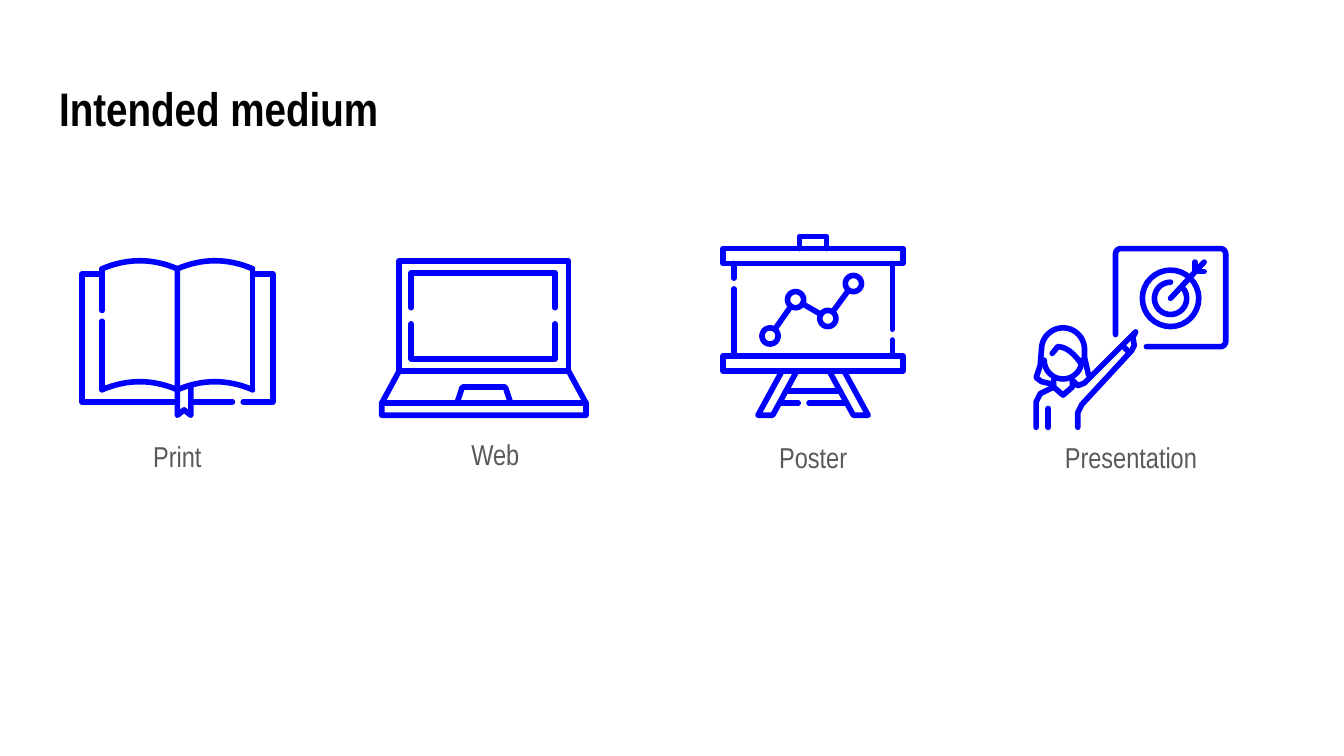
from math import cos, dist, radians, sin

from lxml.etree import SubElement
from pptx import Presentation
from pptx.dml.color import RGBColor
from pptx.enum.text import MSO_ANCHOR, MSO_AUTO_SIZE, PP_ALIGN
from pptx.oxml.ns import qn
from pptx.util import Inches, Pt

THEME = {
    "font": "Arial Narrow",
    "title": {"size": Pt(25.2), "bold": True, "color": RGBColor(0, 0, 0)},
    "label": {"size": Pt(15.4), "bold": False, "color": RGBColor(0x59, 0x59, 0x59)},
    "icon": {"color": RGBColor(0, 0, 0xFF), "width": Pt(3)},
}


# Stroke helpers: each returns a list of points in inches
def box(left, top, right, bottom):
    return [(left, top), (right, top), (right, bottom), (left, bottom), (left, top)]


def arc(center, radius, start=0, end=360, steps=32):
    angles = [radians(start + (end - start) * i / steps) for i in range(steps + 1)]
    return [(center[0] + radius * cos(a), center[1] + radius * sin(a)) for a in angles]


def bow(start, end, rise, steps=16):
    """Shallow curve between two points, raised in the middle."""
    return [(start[0] + (end[0] - start[0]) * t,
             start[1] + (end[1] - start[1]) * t - 4 * rise * t * (1 - t))
            for t in (i / steps for i in range(steps + 1))]


def link(start, end, gap):
    """Line between two nodes that stops at their rims."""
    share = gap / dist(start, end)
    dx, dy = (end[0] - start[0]) * share, (end[1] - start[1]) * share
    return [(start[0] + dx, start[1] + dy), (end[0] - dx, end[1] - dy)]


def mirror(points, axis):
    return [(2 * axis - x, y) for x, y in points]


# Content
TITLE = "Intended medium"
LABELS = [("Print", 3.18), ("Web", 3.17), ("Poster", 3.19), ("Presentation", 3.19)]
LABEL_LEFT, LABEL_STEP, LABEL_SIZE = 0.27, 2.365, (2.1, 0.63)

# Icons: each has parts, each part is a list of strokes
SPINE = 1.32
page_curves = [bow((0.76, y), (SPINE, y), 0.06) for y in (2, 2.9)]
book = [
    *page_curves,
    *[mirror(curve, SPINE) for curve in page_curves],
    [(0.76, 2), (0.76, 2.31)],
    [(0.76, 2.39), (0.76, 2.9)],
    [(1.88, 2), (1.88, 2.9)],
    [(0.76, 2.04), (0.61, 2.04), (0.61, 2.99), (SPINE, 2.99)],
    [(1.88, 2.04), (2.03, 2.04), (2.03, 2.99), (1.81, 2.99)],
    [(1.73, 2.99), (1.42, 2.99)],
    [(SPINE, 2), (SPINE, 3.09), (1.37, 3.05), (1.42, 3.09), (1.42, 2.88)],
]

laptop_body = [
    box(2.97, 1.94, 4.23, 2.76),
    [(2.97, 2.76), (2.84, 3), (2.84, 3.09), (4.36, 3.09), (4.36, 3), (4.23, 2.76)],
    [(2.84, 3), (4.36, 3)],
    [(3.4, 3), (3.44, 2.88), (3.76, 2.88), (3.8, 3)],
]
screen_halves = [
    [[(3.06, inner), (3.06, outer), (4.13, outer), (4.13, inner)]]
    for inner, outer in ((2.41, 2.67), (2.29, 2.03))
]

STAND_AXIS = 6.05
leg = [(5.82, 2.76), (5.64, 3.09), (5.75, 3.09), (5.93, 2.76)]
poster_top = [
    box(5.38, 1.85, 6.72, 1.96),
    [(5.95, 1.85), (5.95, 1.76), (6.15, 1.76), (6.15, 1.85)],
    [(5.46, 1.96), (5.46, 2.07)],
    [(6.64, 1.96), (6.64, 2.45)],
]
poster_stand = [
    box(5.38, 2.65, 6.72, 2.76),
    [(5.46, 2.15), (5.46, 2.65)],
    [(6.64, 2.53), (6.64, 2.65)],
    leg,
    mirror(leg, STAND_AXIS),
    [(5.85, 2.91), (6.25, 2.91)],
    [(5.81, 3), (5.94, 3)],
    [(6.02, 3), (6.29, 3)],
]
nodes, NODE_RADIUS = [(5.73, 2.5), (5.92, 2.23), (6.16, 2.37), (6.35, 2.11)], 0.06
trend = [arc(node, NODE_RADIUS) for node in nodes]
trend += [link(a, b, NODE_RADIUS) for a, b in zip(nodes, nodes[1:])]

sleeve = [[(7.8, 3.04), (7.8, 3.18)]]
presenter = [
    [(7.84, 2.86), (7.75, 2.84), (7.71, 2.81), (7.74, 2.72),
     *arc((7.91, 2.6), 0.16, 180, 360), (8.07, 2.66), (8.1, 2.79)],
    arc((7.91, 2.68), 0.14, 180, 0),
    [(7.83, 2.63), *bow((7.87, 2.58), (8.04, 2.7), 0.03)],
    [(7.84, 2.83), (7.84, 2.88), (7.91, 2.94), (7.98, 2.88), (7.98, 2.83)],
    [(7.84, 2.88), (7.74, 2.93), (7.71, 2.99), (7.71, 3.18)],
    [(7.98, 2.83), (8.02, 2.87), (8.07, 2.85), (8.45, 2.47), (8.43, 2.51),
     (8.44, 2.57), (8.42, 2.61), (8.05, 3.01), (8.02, 3.07), (8.02, 3.18)],
    [(8.36, 2.58), (8.4, 2.62)],
]
board = [[(8.3, 2.49), *arc((8.34, 1.89), 0.04, 180, 270, 6),
          *arc((9.08, 1.89), 0.04, 270, 360, 6),
          *arc((9.08, 2.54), 0.04, 0, 90, 6), (8.53, 2.58)]]
BULLSEYE = (8.71, 2.22)
target = [
    arc(BULLSEYE, 0.21),
    arc(BULLSEYE, 0.12, 270, -35),
    [BULLSEYE, (8.96, 1.95)],
    [(8.89, 1.95), (8.89, 2.02), (8.96, 2.02)],
]

ICONS = [
    [book],
    [laptop_body, *screen_halves],
    [poster_top, poster_stand, trend],
    [sleeve, presenter, board, target],
]


def fill_placeholder(shape, text, place, style, frame_format, paragraph_format):
    shape.left, shape.top, shape.width, shape.height = map(Inches, place)
    frame = shape.text_frame
    frame.text = text
    margins = {f"margin_{side}": Inches(0.1) for side in ("left", "top", "right", "bottom")}
    paragraph = frame.paragraphs[0]
    font = paragraph.runs[0].font
    font.color.rgb = style["color"]
    for item, values in (
        (frame, {"word_wrap": True, "auto_size": MSO_AUTO_SIZE.NONE, **margins, **frame_format}),
        (paragraph, {"space_before": Pt(0), **paragraph_format}),
        (font, {"name": THEME["font"], "size": style["size"], "bold": style["bold"]}),
    ):
        for name, value in values.items():
            setattr(item, name, value)
    # No bullet or hanging indent
    properties = paragraph._p.get_or_add_pPr()
    properties.set("marL", "0")
    properties.set("indent", "0")
    SubElement(properties, qn("a:buNone"))


def draw_part(shapes, strokes):
    """Draw all strokes of one icon part as a single round-ended outline."""
    paths = [[(Inches(x), Inches(y)) for x, y in stroke] for stroke in strokes]
    builder = shapes.build_freeform(*paths[0][0])
    for number, (start, *rest) in enumerate(paths):
        if number:
            builder.move_to(*start)
        builder.add_line_segments(rest, close=False)
    shape = builder.convert_to_shape()
    shape.shadow.inherit = False
    shape.fill.background()
    shape.line.color.rgb = THEME["icon"]["color"]
    shape.line.width = THEME["icon"]["width"]
    outline = shape.line._get_or_add_ln()
    outline.set("cap", "rnd")
    SubElement(outline, qn("a:round"))


def main():
    presentation = Presentation()
    # Widescreen, 16 to 9
    presentation.slide_width = Inches(10)
    presentation.slide_height = Inches(10 * 9 / 16)
    # The comparison layout holds a title and four text placeholders
    slide = presentation.slides.add_slide(presentation.slide_layouts[4])
    title, *label_shapes = slide.placeholders

    fill_placeholder(title, TITLE, (0.34, 0.49, 9.32, 0.63), THEME["title"],
                     {"vertical_anchor": MSO_ANCHOR.MIDDLE}, {"alignment": PP_ALIGN.LEFT})

    # Labels
    for column, (shape, (text, top)) in enumerate(zip(label_shapes, LABELS)):
        place = (LABEL_LEFT + column * LABEL_STEP, top, *LABEL_SIZE)
        fill_placeholder(shape, text, place, THEME["label"],
                         {"vertical_anchor": MSO_ANCHOR.TOP},
                         {"alignment": PP_ALIGN.CENTER, "line_spacing": 0.95,
                          "space_after": Pt(12)})

    # Icons, grouped when they have several parts
    for parts in ICONS:
        shapes = slide.shapes.add_group_shape().shapes if len(parts) > 1 else slide.shapes
        for strokes in parts:
            draw_part(shapes, strokes)

    presentation.save("out.pptx")


if __name__ == "__main__":
    main()
